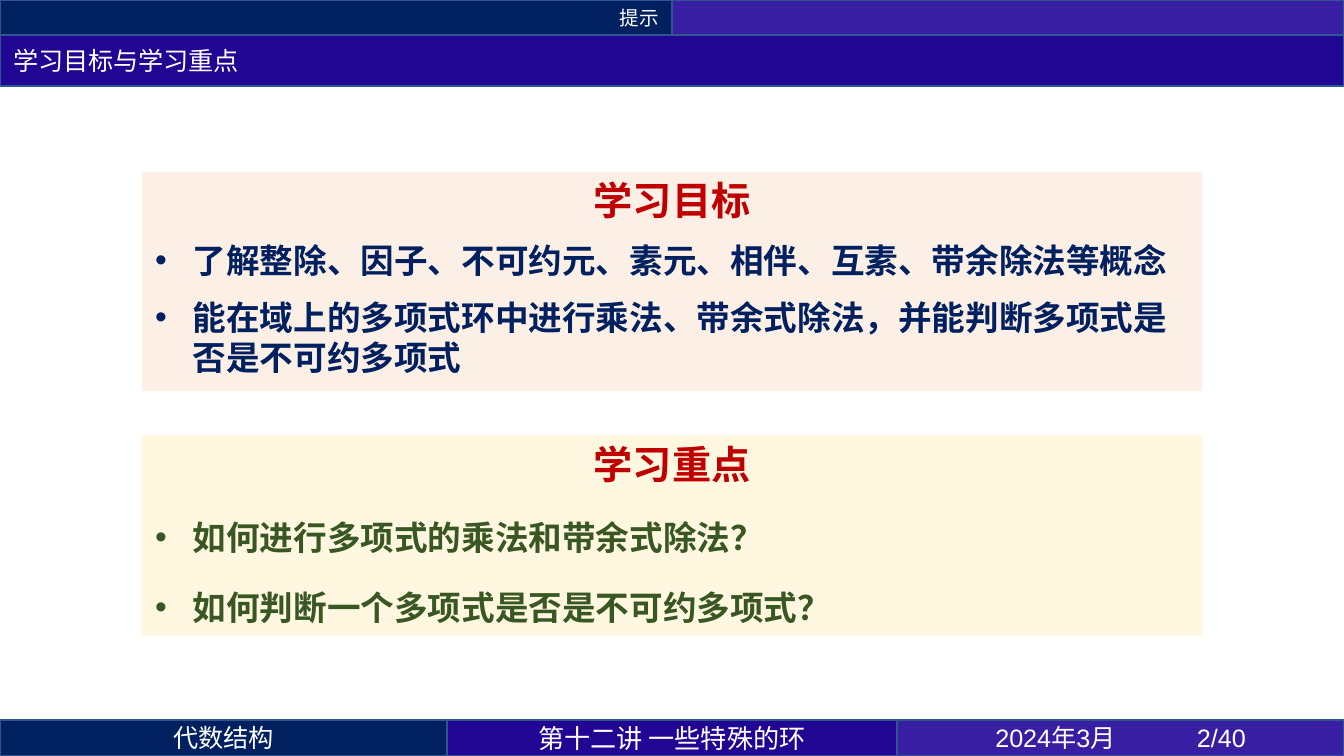
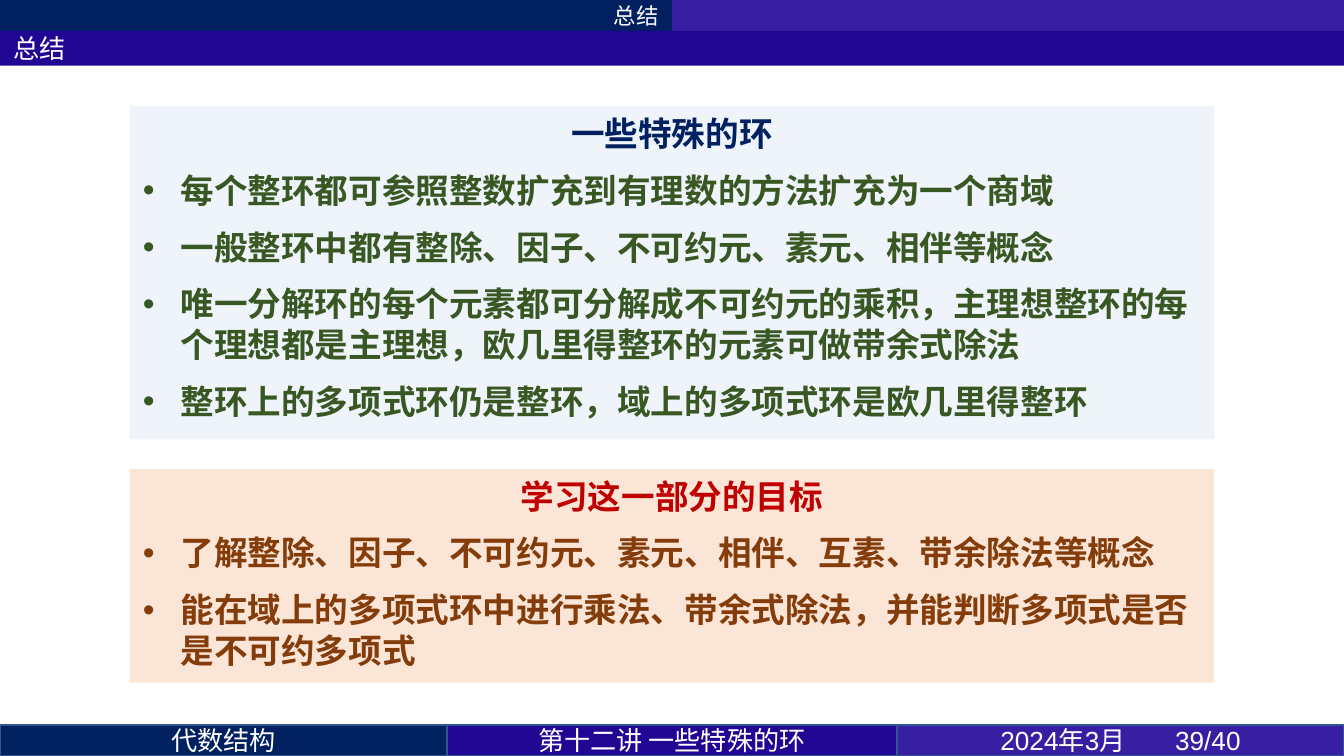
import pptx
import pptx.dml.color
import pptx.enum.lang
import pptx.enum.shapes
import pptx.enum.text
import pptx.oxml.ns
import pptx.util
from lxml import etree
from pptx.util import Inches

COLORS = {
    "navy": "002060",
    "indigo": "210694",
    "violet": "371EA2",
    "border": "325491",
    "white": "FFFFFF",
    "red": "C00000",
    "green": "385723",
    "brown": "843C0B",
    "peach": "FBE5D6",
    "cream": "FFF2CC",
    "sky": "DEEBF7",
}
CJK_FONT = "Noto Sans CJK SC"
SLIDE_WIDTH = 10
SLIDE_HEIGHT = SLIDE_WIDTH * 9 / 16
LECTURE_WIDTH = 3.35
FOOTER_SIDE = (SLIDE_WIDTH - LECTURE_WIDTH) / 2
FOOTER_EDGES = (0, FOOTER_SIDE, FOOTER_SIDE + LECTURE_WIDTH, SLIDE_WIDTH)
BULLET_INDENT = 0.28
ALIGN = pptx.enum.text.PP_ALIGN


def rgb(color):
    return pptx.dml.color.RGBColor.from_string(COLORS[color])


def add_child(parent, tag, **attributes):
    child = etree.SubElement(parent, pptx.oxml.ns.qn(tag))
    for key, value in attributes.items():
        child.set(key, str(value))
    return child


def add_block(slide, left, top, width, height, fill, bordered=False, opacity=100):
    block = slide.shapes.add_shape(
        pptx.enum.shapes.MSO_SHAPE.RECTANGLE,
        Inches(left), Inches(top), Inches(width), Inches(height))
    block.shadow.inherit = False
    block.fill.solid()
    block.fill.fore_color.rgb = rgb(fill)
    if opacity < 100:
        color = block.fill._xPr.find(".//" + pptx.oxml.ns.qn("a:srgbClr"))
        add_child(color, "a:alpha", val=opacity * 1000)
    if bordered:
        block.line.color.rgb = rgb("border")
        block.line.width = pptx.util.Pt(1)
    else:
        block.line.fill.background()
    block.text_frame.word_wrap = True
    return block


def write(paragraph, text, size, color, font, align, bold=False):
    paragraph.text = text
    paragraph.alignment = align
    for run in paragraph.runs:
        run.font.size = pptx.util.Pt(size)
        run.font.bold = bold
        run.font.name = font
        run.font.color.rgb = rgb(color)
        run.font.language_id = pptx.enum.lang.MSO_LANGUAGE_ID.SIMPLIFIED_CHINESE
        add_child(run.font._element, "a:ea", typeface=CJK_FONT)


def add_bar(slide, left, top, width, height, fill, bordered, text="",
            size=14, font=CJK_FONT, align=ALIGN.CENTER):
    bar = add_block(slide, left, top, width, height, fill, bordered)
    frame = bar.text_frame
    frame.margin_top = frame.margin_bottom = 0
    frame.vertical_anchor = pptx.enum.text.MSO_ANCHOR.MIDDLE
    if text:
        write(frame.paragraphs[0], text, size, "white", font, align)
    return bar


def add_header(slide, section, title, section_size, title_size,
               section_height, title_height, bordered):
    half = SLIDE_WIDTH / 2
    add_bar(slide, 0, 0, half, section_height, "navy", bordered,
            section, section_size, align=ALIGN.RIGHT)
    add_bar(slide, half, 0, half, section_height, "violet", bordered)
    add_bar(slide, 0, section_height, SLIDE_WIDTH, title_height, "indigo", bordered,
            title, title_size, "Calibri", ALIGN.LEFT)


def add_footer(slide, page, height, side_size, page_tab):
    cells = (
        ("代数结构", "navy", side_size, CJK_FONT),
        ("第十二讲 一些特殊的环", "indigo", 14, CJK_FONT),
        (f"2024年3月\t{page}/40", "violet", side_size, "Arial"),
    )
    for left, right, (text, fill, size, font) in zip(FOOTER_EDGES, FOOTER_EDGES[1:], cells):
        bar = add_bar(slide, left, SLIDE_HEIGHT - height, right - left, height,
                      fill, True, text, size, font)
    properties = bar.text_frame.paragraphs[0]._p.get_or_add_pPr()
    stops = add_child(properties, "a:tabLst")
    add_child(stops, "a:tab", pos=Inches(page_tab), algn="l")


def add_panel(slide, top, width, height, fill, opacity, heading, heading_color,
              points, point_color, heading_size=18, heading_font="Calibri",
              point_font=CJK_FONT, heading_pitch=21.5, point_pitch=21.5, before=4.5):
    left = (SLIDE_WIDTH - width) / 2
    frame = add_block(slide, left, top, width, height, fill, opacity=opacity).text_frame
    frame.vertical_anchor = pptx.enum.text.MSO_ANCHOR.TOP
    frame.margin_top = Inches(0.05)
    write(frame.paragraphs[0], heading, heading_size, heading_color,
          heading_font, ALIGN.CENTER, True)
    for point in points:
        paragraph = frame.add_paragraph()
        write(paragraph, point, 18, point_color, point_font, ALIGN.LEFT, True)
    for index, paragraph in enumerate(frame.paragraphs):
        paragraph.line_spacing = pptx.util.Pt(point_pitch if index else heading_pitch)
        paragraph.space_before = pptx.util.Pt(before if index else 0)
        paragraph.space_after = pptx.util.Pt(4.5)
        if index:
            properties = paragraph._p.get_or_add_pPr()
            properties.set("marL", str(Inches(BULLET_INDENT)))
            properties.set("indent", str(-Inches(BULLET_INDENT)))
            add_child(properties, "a:buFont", typeface="Arial")
            add_child(properties, "a:buChar", char="•")


def main():
    deck = pptx.Presentation()
    deck.slide_width = Inches(SLIDE_WIDTH)
    deck.slide_height = Inches(SLIDE_HEIGHT)
    blank = deck.slide_layouts[6]
    goals = (
        "了解整除、因子、不可约元、素元、相伴、互素、带余除法等概念",
        "能在域上的多项式环中进行乘法、带余式除法，并能判断多项式是否是不可约多项式",
    )
    focus = (
        "如何进行多项式的乘法和带余式除法？",
        "如何判断一个多项式是否是不可约多项式？",
    )
    conclusions = (
        "每个整环都可参照整数扩充到有理数的方法扩充为一个商域",
        "一般整环中都有整除、因子、不可约元、素元、相伴等概念",
        "唯一分解环的每个元素都可分解成不可约元的乘积，主理想整环的每个理想都是主理想，"
        "欧几里得整环的元素可做带余式除法",
        "整环上的多项式环仍是整环，域上的多项式环是欧几里得整环",
    )

    objectives = deck.slides.add_slide(blank)
    add_header(objectives, "提示", "学习目标与学习重点", 10.5, 13.5, 0.26, 0.38, True)
    add_footer(objectives, 2, 0.27, 13.5, 1.5)
    heading_style = {"heading_size": 21, "heading_font": CJK_FONT,
                     "point_font": "Arial", "heading_pitch": 24}
    add_panel(objectives, 1.28, 7.89, 1.63, "peach", 60,
              "学习目标", "red", goals, "navy", **heading_style)
    add_panel(objectives, 3.24, 7.89, 1.49, "cream", 60,
              "学习重点", "red", focus, "green",
              point_pitch=24, before=9, **heading_style)

    summary = deck.slides.add_slide(blank)
    add_panel(summary, 0.79, 8.07, 2.48, "sky", 50,
              "一些特殊的环", "navy", conclusions, "green")
    add_panel(summary, 3.49, 8.07, 1.59, "peach", 100,
              "学习这一部分的目标", "red", goals, "brown")
    add_header(summary, "总结", "总结", 12, 14, 0.23, 0.26, False)
    add_footer(summary, 39, 0.23, 14, 1.3)

    deck.save("out.pptx")


if __name__ == "__main__":
    main()
